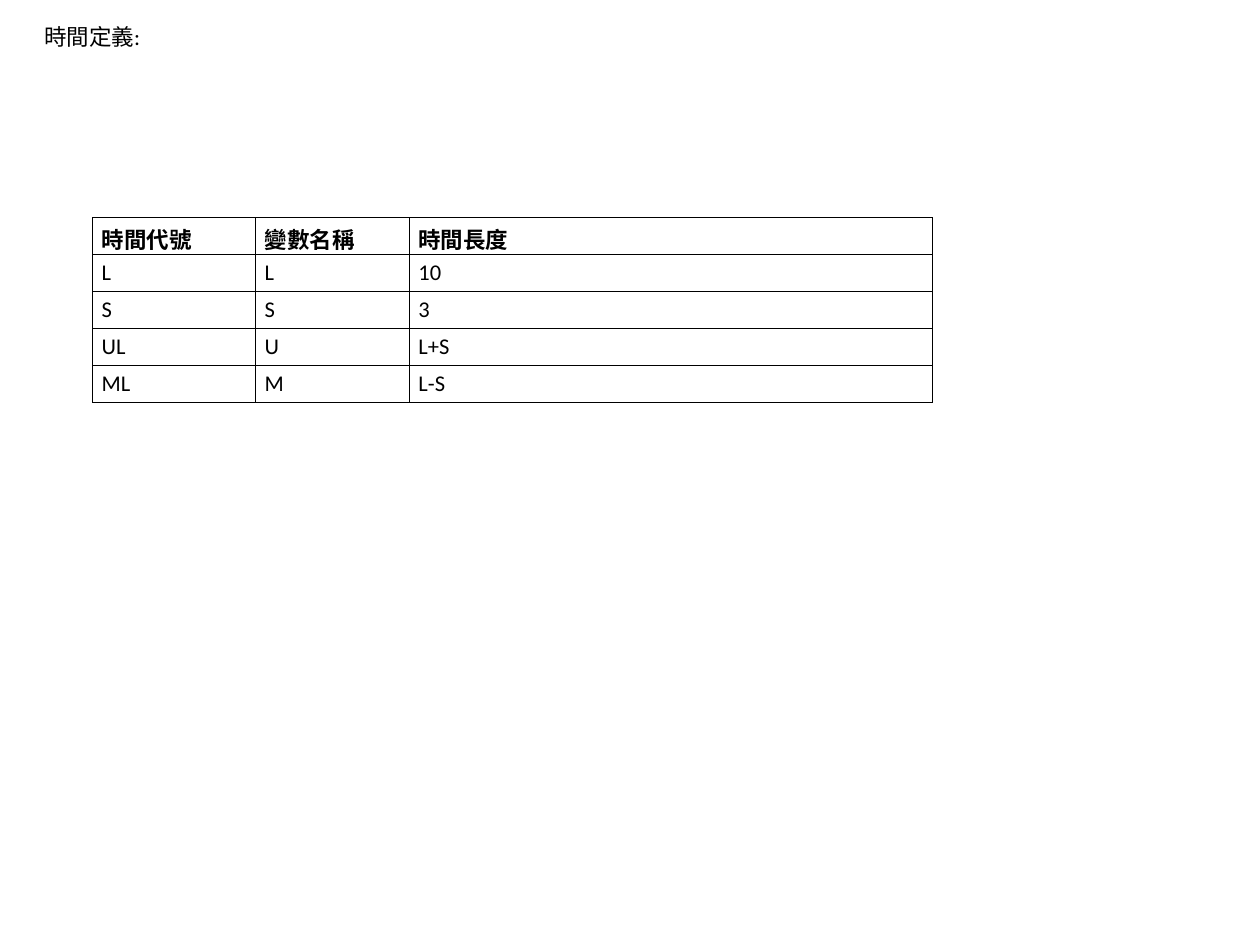
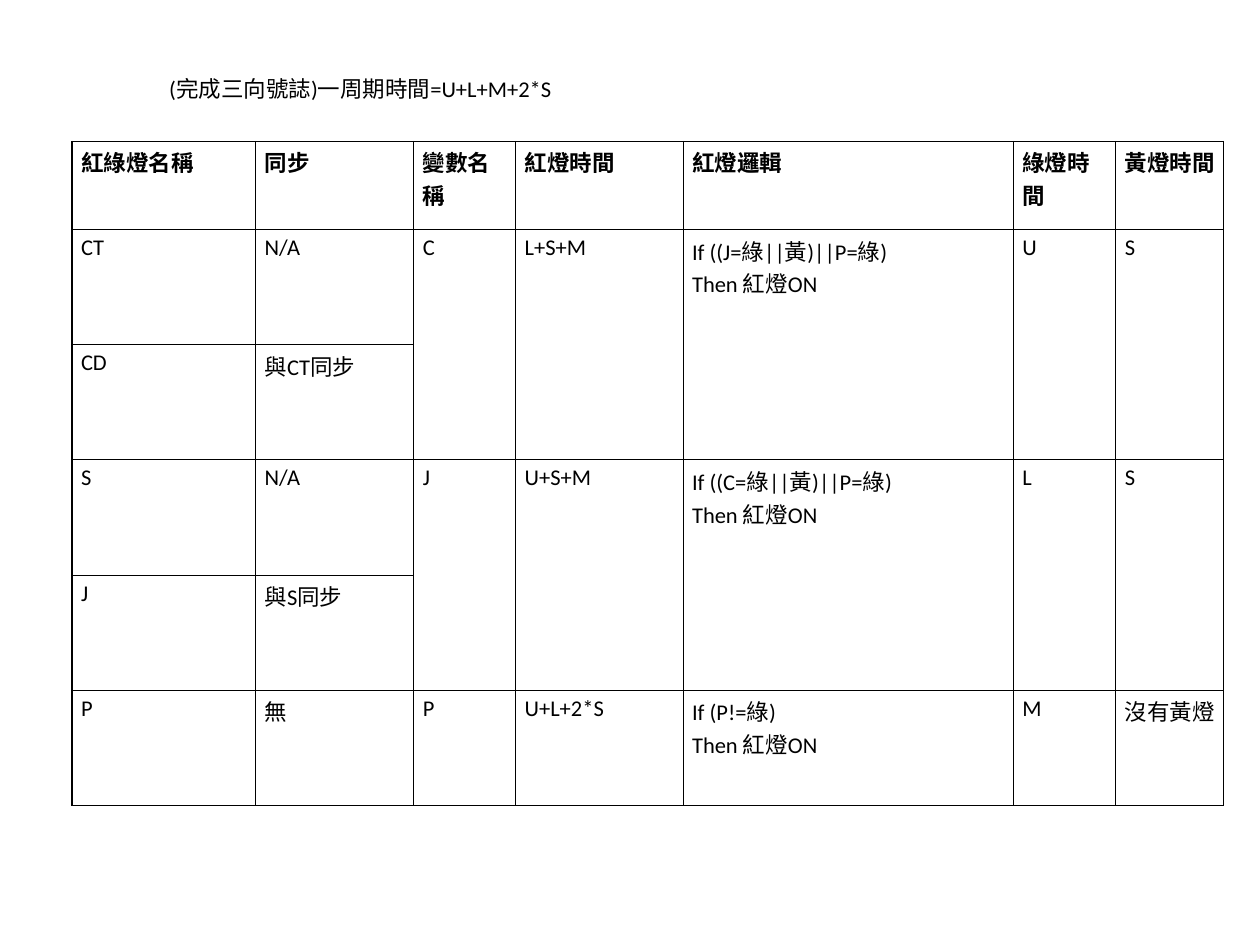
from lxml.etree import SubElement
from pptx import Presentation
from pptx.dml.color import RGBColor
from pptx.enum.text import MSO_ANCHOR, MSO_AUTO_SIZE, PP_ALIGN
from pptx.oxml.ns import qn
from pptx.util import Inches, Pt

BLACK = RGBColor(0x00, 0x00, 0x00)
WHITE = RGBColor(0xFF, 0xFF, 0xFF)
FONT, SIZE = "Calibri", Pt(18)
TITLE_ONLY = 5

TIME_ROWS = [
    ["時間代號", "變數名稱", "時間長度"],
    ["L", "L", "10"],
    ["S", "S", "3"],
    ["UL", "U", "L+S"],
    ["ML", "M", "L-S"],
]
# None continues the cell above it.
SIGNAL_ROWS = [
    ["紅綠燈名稱", "同步", "變數名稱", "紅燈時間", "紅燈邏輯", "綠燈時間", "黃燈時間"],
    ["CT", "N/A", "C", "L+S+M", "If ((J=綠||黃)||P=綠)\nThen 紅燈ON", "U", "S"],
    ["CD", "與CT同步"] + [None] * 5,
    ["S", "N/A", "J", "U+S+M", "If ((C=綠||黃)||P=綠)\nThen 紅燈ON", "L", "S"],
    ["J", "與S同步"] + [None] * 5,
    ["P", "無", "P", "U+L+2*S", "If (P!=綠)\nThen 紅燈ON", "M", "沒有黃燈"],
]

# title, title box, title wraps, table corner, column widths, row heights, rows
SLIDES = [
    ("時間定義:", (0.39, 0.2, 1.28, 0.4), False,
     (1.03, 2.42), [1.81, 1.71, 5.81], [0.41] * 5, TIME_ROWS),
    ("(完成三向號誌)一周期時間=U+L+M+2*S", (1.78, 0.78, 4.49, 0.4), True,
     (0.8, 1.57), [2.04, 1.76, 1.13, 1.86, 3.67, 1.14, 1.2],
     [0.98] + [1.28] * 5, SIGNAL_ROWS),
]


def write(tf, text, bold=False):
    for i, line in enumerate(text.split("\n")):
        p = tf.add_paragraph() if i else tf.paragraphs[0]
        p.alignment = PP_ALIGN.LEFT
        r = p.add_run()
        r.text = line
        r.font.name, r.font.size, r.font.bold = FONT, SIZE, bold
        r.font.color.rgb = BLACK


def style_cell(cell):
    """Give the cell a thin black border and a white fill."""
    tcPr = cell._tc.get_or_add_tcPr()
    for side in ("a:lnL", "a:lnR", "a:lnT", "a:lnB"):
        ln = SubElement(tcPr, qn(side), w=str(Pt(1)))
        SubElement(SubElement(ln, qn("a:solidFill")), qn("a:srgbClr"), val=str(BLACK))
    cell.fill.solid()
    cell.fill.fore_color.rgb = WHITE


prs = Presentation()
prs.slide_width, prs.slide_height = Inches(14), Inches(10.5)

for title, box, wraps, corner, widths, heights, rows in SLIDES:
    s = prs.slides.add_slide(prs.slide_layouts[TITLE_ONLY])

    sp = s.shapes.title
    sp.left, sp.top, sp.width, sp.height = map(Inches, box)
    tf = sp.text_frame
    tf.word_wrap = wraps
    tf.auto_size = MSO_AUTO_SIZE.SHAPE_TO_FIT_TEXT
    tf.vertical_anchor = MSO_ANCHOR.TOP
    write(tf, title)

    table = s.shapes.add_table(
        len(rows), len(widths), *map(Inches, corner),
        Inches(sum(widths)), Inches(sum(heights))).table
    for column, width in zip(table.columns, widths):
        column.width = Inches(width)
    for row, height in zip(table.rows, heights):
        row.height = Inches(height)

    for i, values in enumerate(rows):
        for j, value in enumerate(values):
            cell = table.cell(i, j)
            style_cell(cell)
            if value is None:
                table.cell(i - 1, j).merge(cell)
            else:
                write(cell.text_frame, value, bold=i == 0)

prs.save("out.pptx")
